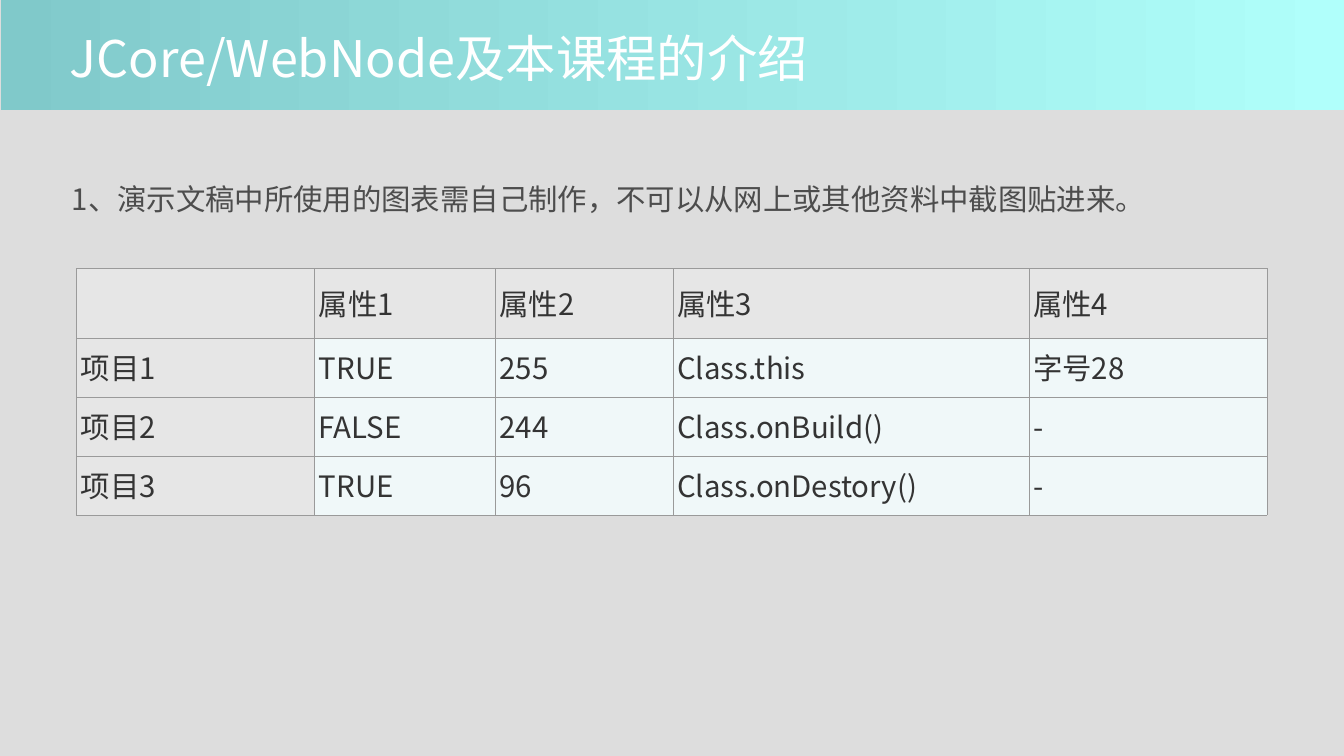
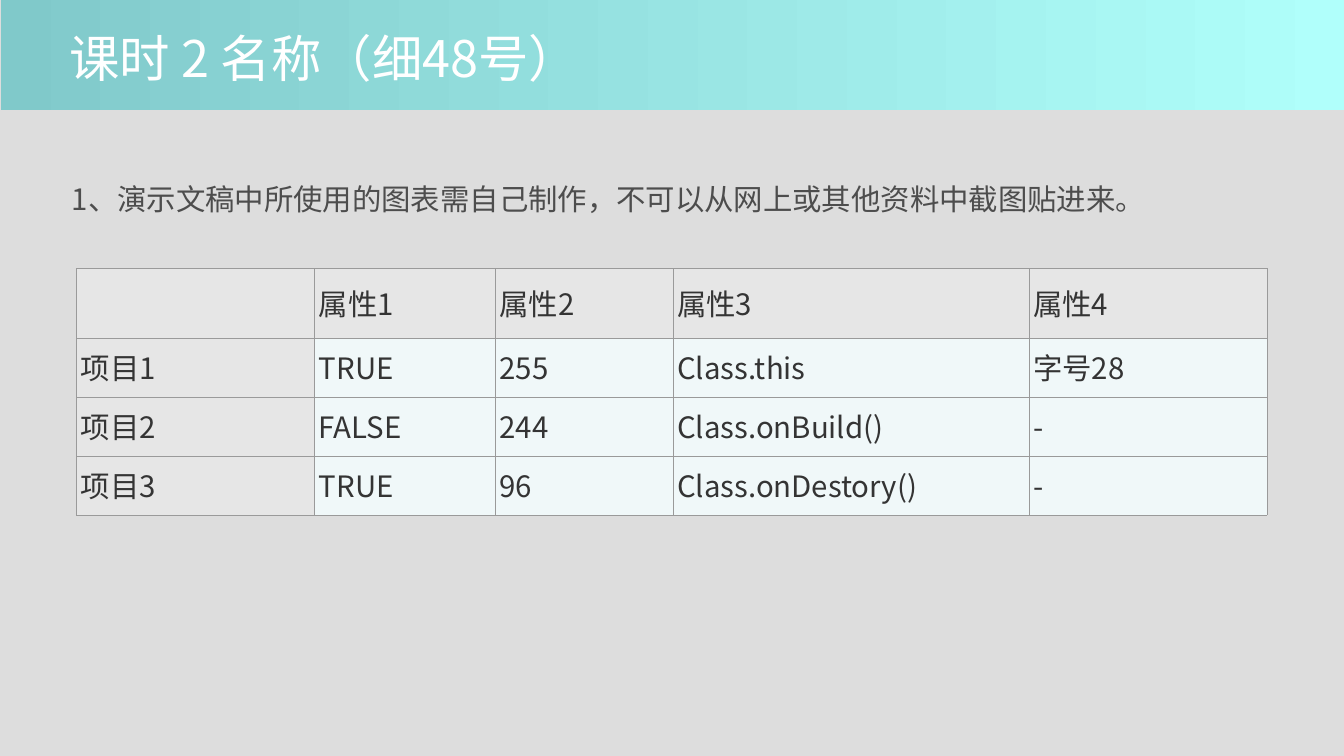
from dataclasses import dataclass

from lxml import etree
from pptx import Presentation
from pptx import util as u
from pptx.dml.color import RGBColor
from pptx.enum import shapes, text
from pptx.oxml.ns import qn


@dataclass(frozen=True)
class Theme:
    font: str = "Noto Sans CJK SC"
    back: str = "DDDDDD"
    light: str = "B0FFFB"
    dark: str = "80C9CA"
    white: str = "FFFFFF"
    body: str = "4D4D4D"
    ink: str = "343434"
    head: str = "E6E6E6"
    cell: str = "F0F8F9"
    rule: str = "9A9A9A"
    big: int = 48
    base: int = 28
    line: float = 0.23


def rgb(code):
    return RGBColor.from_string(code)


class Deck:
    def __init__(self, theme):
        self.theme = theme
        self.prs = Presentation()
        self.prs.slide_width = u.Inches(17.78)
        self.prs.slide_height = u.Inches(10)
        self.slide = None

    def page(self, title):
        """Start a slide with its background, band and title."""
        self.slide = self.prs.slides.add_slide(self.prs.slide_layouts[6])
        fill = self.slide.background.fill
        fill.solid()
        fill.fore_color.rgb = rgb(self.theme.back)
        self.band()
        self.label(title, (0.92, 0.36, 15.78, 0.75),
                   self.theme.big, self.theme.white)

    def band(self):
        box = map(u.Inches, (0.01, 0, 17.78, 1.46))
        band = self.slide.shapes.add_shape(shapes.MSO_SHAPE.RECTANGLE, *box)
        band.shadow.inherit = False
        band.line.fill.background()
        band.fill.gradient()
        band.fill.gradient_angle = 180
        tones = self.theme.light, self.theme.dark
        for stop, tone in zip(band.fill.gradient_stops, tones):
            stop.color.rgb = rgb(tone)

    def style(self, para, size, color):
        for run in para.runs:
            font = run.font
            font.size = u.Pt(size)
            font.color.rgb = rgb(color)
            font.name = self.theme.font
            east = etree.SubElement(run._r.get_or_add_rPr(), qn("a:ea"))
            east.set("typeface", self.theme.font)

    def label(self, words, box, size, color, inset=0, space=None):
        frame = self.slide.shapes.add_textbox(*map(u.Inches, box)).text_frame
        frame.word_wrap = True
        frame.margin_left = frame.margin_right = u.Inches(inset)
        frame.margin_top = frame.margin_bottom = u.Inches(inset)
        frame.text = words
        para = frame.paragraphs[0]
        para.line_spacing = space
        self.style(para, size, color)

    def border(self, cell):
        props = cell._tc.get_or_add_tcPr()
        for side in ("lnL", "lnR", "lnT", "lnB"):
            line = etree.SubElement(props, qn(f"a:{side}"))
            line.set("w", str(u.Pt(self.theme.line)))
            fill = etree.SubElement(line, qn("a:solidFill"))
            etree.SubElement(fill, qn("a:srgbClr")).set("val", self.theme.rule)

    def table(self, rows, box, widths, heights):
        shape = self.slide.shapes.add_table(
            len(rows), len(widths), *map(u.Inches, box))
        grid = shape.table
        grid.first_row = grid.horz_banding = False
        for col, width in zip(grid.columns, widths):
            col.width = u.Inches(width)
        for row, height in zip(grid.rows, heights):
            row.height = u.Inches(height)
        for r, row in enumerate(rows):
            for c, words in enumerate(row):
                is_head = r == 0 or c == 0
                self.fill_cell(grid.cell(r, c), words,
                               self.theme.head if is_head else self.theme.cell)

    def fill_cell(self, cell, words, color):
        self.border(cell)
        cell.fill.solid()
        cell.fill.fore_color.rgb = rgb(color)
        cell.vertical_anchor = text.MSO_ANCHOR.MIDDLE
        cell.margin_left = cell.margin_right = u.Inches(0.06)
        cell.margin_top = cell.margin_bottom = u.Inches(0.05)
        if words:
            cell.text_frame.text = words
            para = cell.text_frame.paragraphs[0]
            para.line_spacing = 0.98
            self.style(para, self.theme.base, self.theme.ink)


TITLES = ["JCore/WebNode及本课程的介绍", "课时 2 名称（细48号）"]
NOTE = "1、演示文稿中所使用的图表需自己制作，不可以从网上或其他资料中截图贴进来。"
ROWS = [
    ["", "属性1", "属性2", "属性3", "属性4"],
    ["项目1", "TRUE", "255", "Class.this", "字号28"],
    ["项目2", "FALSE", "244", "Class.onBuild()", "-"],
    ["项目3", "TRUE", "96", "Class.onDestory()", "-"],
]


def main():
    theme = Theme()
    deck = Deck(theme)
    # Both lessons share the note and the table
    for title in TITLES:
        deck.page(title)
        deck.label(NOTE, (0.91, 2.26, 15.78, 0.97),
                   theme.base, theme.body, inset=0.04, space=1.2)
        deck.table(ROWS, (1.01, 3.55, 15.76, 3.26),
                   widths=[3.15, 2.39, 2.35, 4.71, 3.15],
                   heights=[0.92] + [0.78] * 3)
    deck.prs.save("out.pptx")


if __name__ == "__main__":
    main()
